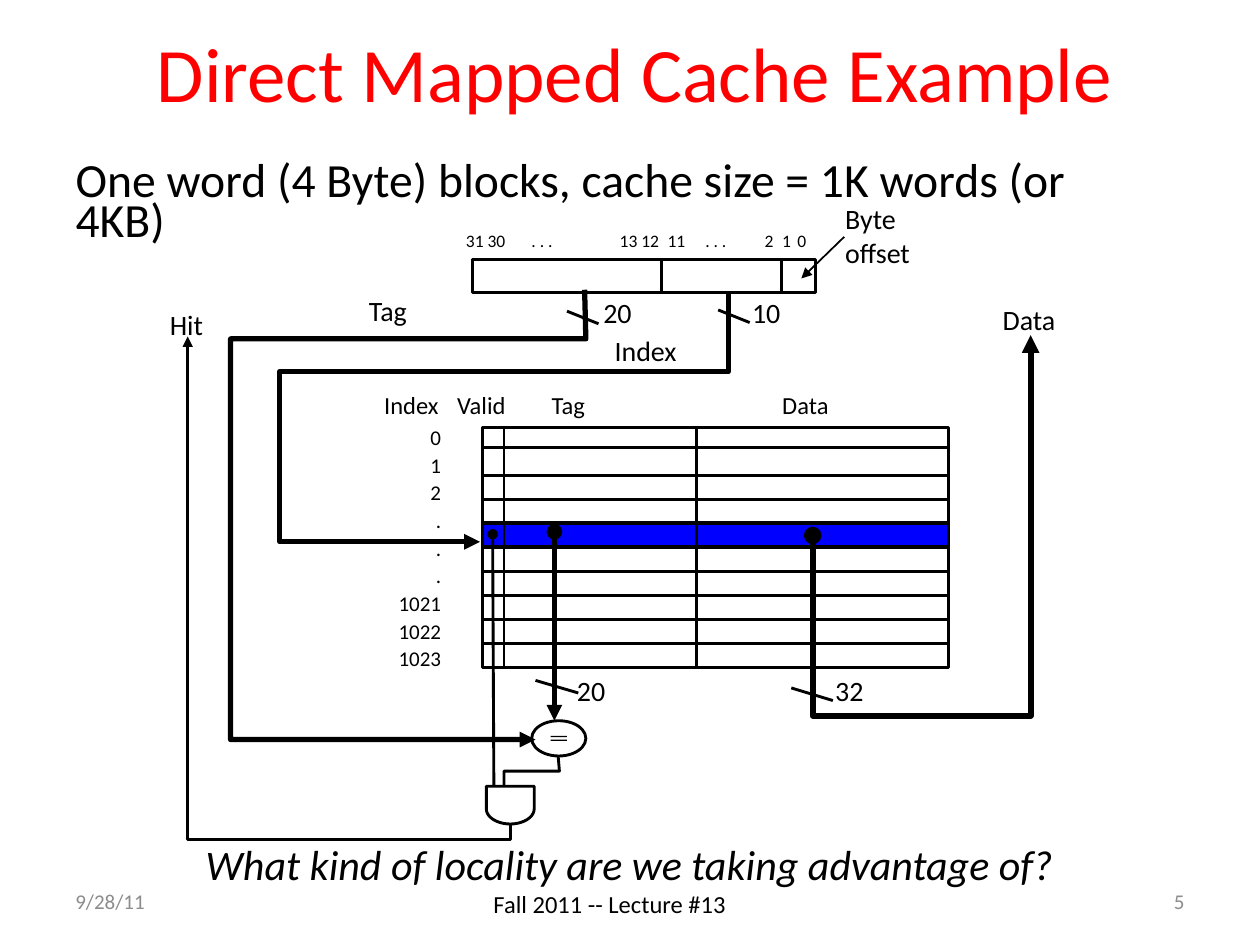
from math import cos, pi, sin

from lxml.etree import SubElement
from pptx import Presentation
from pptx.dml.color import RGBColor
from pptx.enum.shapes import MSO_CONNECTOR, MSO_SHAPE
from pptx.enum.text import MSO_ANCHOR, MSO_AUTO_SIZE, PP_ALIGN
from pptx.oxml.ns import qn
from pptx.util import Inches, Pt

BLACK, RED, BLUE, GREY = "000000", "FF0000", "0000FF", "8C8C8C"
THIN, THICK = 1.63, 3
LEFT, CENTER, RIGHT = PP_ALIGN.LEFT, PP_ALIGN.CENTER, PP_ALIGN.RIGHT

TITLE = "Direct Mapped Cache Example"
BODY = "One word (4 Byte) blocks, cache size = 1K words (or 4KB)"
QUESTION = "What kind of locality are we taking advantage of?"
BIT_NUMBERS = "31 30\t. . .\t13 12\t11\t. . .\t2\t1\t0"
BIT_TABS = [0.52, 1.22, 1.6, 1.9, 2.37, 2.51, 2.63]
INDEX_ROWS = ["0", "1", "2", ".", ".", ".", "1021", "1022", "1023"]

# text, left, top, width, height, size
LABELS = [
    ("Tag", 2.83, 2.28, 0.58, 0.37, 16),
    ("20", 4.69, 2.3, 0.45, 0.37, 16),
    ("10", 5.87, 2.3, 0.45, 0.37, 16),
    ("Index", 4.78, 2.6, 0.74, 0.37, 16),
    ("Hit", 1.25, 2.39, 0.47, 0.37, 16),
    ("Data", 7.86, 2.35, 0.67, 0.37, 16),
    ("20", 4.48, 5.3, 0.45, 0.37, 16),
    ("32", 6.53, 5.3, 0.45, 0.37, 16),
    ("Index", 2.95, 3.05, 0.69, 0.33, 14),
    ("Valid", 3.53, 3.05, 0.63, 0.33, 14),
    ("Tag", 4.28, 3.05, 0.53, 0.33, 14),
    ("Data", 6.11, 3.05, 0.61, 0.33, 14),
]

CACHE_LEFT, CACHE_RIGHT, CACHE_TOP, CACHE_BOTTOM = 3.83, 7.53, 3.39, 5.3
ROW_HEIGHT, FIRST_ROW_BOTTOM, HIT_ROW_TOP = 0.191, 3.55, 4.15
CACHE_COLUMNS = [4, 5.53]
ADDRESS_TOP, ADDRESS_BOTTOM = 2.06, 2.32
ADDRESS_SPLITS = [5.25, 6.2]

# points, weight, start marker, end marker
WIRES = [
    ([(4.64, 2.3), (4.65, 2.69), (1.83, 2.69), (1.83, 5.87), (4.25, 5.87)], THICK, None, "triangle"),
    ([(5.78, 2.32), (5.78, 2.95), (2.22, 2.95), (2.22, 4.3), (3.81, 4.3)], THICK, None, "triangle"),
    ([(4.4, 4.22), (4.4, 5.72)], THICK, "oval", "triangle"),
    ([(6.45, 4.25), (6.45, 5.68), (8.18, 5.68), (8.18, 2.66)], 3.38, "oval", "triangle"),
    ([(3.91, 4.24), (3.92, 6.24)], THIN, "oval", None),
    ([(4.43, 6), (4.44, 6.12), (4, 6.12), (4, 6.24)], THIN, None, None),
    ([(4.05, 6.54), (4.05, 6.66), (1.49, 6.66), (1.49, 2.67)], THIN, None, "triangle"),
    ([(6.7, 1.88), (6.36, 2.21)], 1, None, "triangle"),
]
# bus-width ticks: left, top, width
TICKS = [(4.5, 2.47, 0.25), (5.7, 2.46, 0.25), (4.25, 5.4, 0.34), (6.28, 5.46, 0.33)]

deck = Presentation()
deck.slide_width, deck.slide_height = Inches(10), Inches(7.5)
page = deck.slides.add_slide(deck.slide_layouts[1])


def rgb(code):
    return RGBColor.from_string(code)


def write(box, lines, size, color=BLACK, align=LEFT, anchor=MSO_ANCHOR.TOP,
          spacing=1.0, wrap=True, italic=False):
    frame = box.text_frame
    frame.text = "\n".join(lines)
    frame.auto_size = MSO_AUTO_SIZE.NONE
    frame.word_wrap = wrap
    frame.vertical_anchor = anchor
    for para in frame.paragraphs:
        para.alignment, para.line_spacing = align, spacing
        para.space_before = Pt(0)
        font = para.font
        font.name, font.size, font.italic = "Calibri", Pt(size), italic
        font.color.rgb = rgb(color)
    return box


def place(box, left, top, width, height):
    box.left, box.top, box.width, box.height = map(Inches, (left, top, width, height))
    return box


def add_text(lines, left, top, width, height, size, **style):
    box = page.shapes.add_textbox(*map(Inches, (left, top, width, height)))
    return write(box, lines, size, **style)


def stroke(shape, weight, head=None, tail=None):
    shape.line.color.rgb = rgb(BLACK)
    shape.line.width = Pt(weight)
    line = shape._element.spPr.find(qn("a:ln"))
    for tag, marker in (("a:headEnd", head), ("a:tailEnd", tail)):
        if marker:
            SubElement(line, qn(tag), type=marker)


def add_outline(points, weight, head=None, tail=None, close=False):
    """Draw an unfilled path through points given in inches."""
    # the builder rounds points to whole units, so they are passed as EMU
    start, *rest = [(Inches(x), Inches(y)) for x, y in points]
    builder = page.shapes.build_freeform(*start)
    builder.add_line_segments(rest, close=close)
    shape = builder.convert_to_shape()
    shape.shadow.inherit = False
    shape.fill.background()
    stroke(shape, weight, head, tail)


def add_wire(points, weight=THIN, head=None, tail=None):
    """Draw a straight connector for two points and a bent path for more."""
    if len(points) > 2:
        return add_outline(points, weight, head, tail)
    (x1, y1), (x2, y2) = points
    wire = page.shapes.add_connector(MSO_CONNECTOR.STRAIGHT, *map(Inches, (x1, y1, x2, y2)))
    stroke(wire, weight, head, tail)
    SubElement(wire._element.spPr, qn("a:effectLst"))


def add_box(kind, left, top, right, bottom, fill=None, outlined=True):
    box = page.shapes.add_shape(kind, *map(Inches, (left, top, right - left, bottom - top)))
    box.shadow.inherit = False
    if fill:
        box.fill.solid()
        box.fill.fore_color.rgb = rgb(fill)
    else:
        box.fill.background()
    if outlined:
        stroke(box, THIN)
    else:
        box.line.fill.background()


# Title and body
write(place(page.shapes.title, 0.54, 0.06, 9, 1.02), [TITLE], 44,
      color=RED, align=CENTER, anchor=MSO_ANCHOR.MIDDLE)
body = write(place(page.placeholders[1], 0.5, 1.26, 8.83, 0.74), [BODY], 27.2, spacing=0.7)
body_format = body.text_frame.paragraphs[0]._p.get_or_add_pPr()
body_format.set("marL", "0")
body_format.set("indent", "0")
# the bullet setting goes after the spacing and before the default run format
body_format.insert_element_before(body_format.makeelement(qn("a:buNone")), "a:defRPr")

# Cache
add_box(MSO_SHAPE.RECTANGLE, CACHE_LEFT, CACHE_TOP, CACHE_RIGHT, CACHE_BOTTOM)
add_box(MSO_SHAPE.RECTANGLE, CACHE_LEFT, HIT_ROW_TOP, CACHE_RIGHT, HIT_ROW_TOP + ROW_HEIGHT, BLUE)
for y in [FIRST_ROW_BOTTOM] + [CACHE_BOTTOM - ROW_HEIGHT * row for row in range(1, 9)]:
    add_wire([(CACHE_RIGHT, y), (CACHE_LEFT, y)])
for x in CACHE_COLUMNS:
    add_wire([(x, CACHE_TOP), (x, CACHE_BOTTOM)])
add_text(INDEX_ROWS, 3.03, 3.3, 0.57, 2.09, 12, align=RIGHT, spacing=1.1, wrap=False)

# Address word
add_box(MSO_SHAPE.RECTANGLE, 3.75, ADDRESS_TOP, 6.47, ADDRESS_BOTTOM)
for x in ADDRESS_SPLITS:
    add_wire([(x, ADDRESS_BOTTOM), (x, ADDRESS_TOP)])
bits = add_text([BIT_NUMBERS], 3.6, 1.78, 3.1, 0.27, 10)
bits_format = bits.text_frame.paragraphs[0]._p.get_or_add_pPr()
tab_list = bits_format.makeelement(qn("a:tabLst"))
bits_format.insert_element_before(tab_list, "a:defRPr")
for stop in BIT_TABS:
    SubElement(tab_list, qn("a:tab"), pos=str(Inches(stop)), algn="l")
add_text(["Byte offset"], 6.61, 1.55, 0.92, 0.64, 16)

# Comparator and AND gate
add_box(MSO_SHAPE.OVAL, 4.22, 5.72, 4.65, 6)
for y in (5.84, 5.87):
    add_box(MSO_SHAPE.RECTANGLE, 4.37, y, 4.5, y + 0.01, BLACK, outlined=False)
arc = [(4.05 + 0.19 * cos(pi * step / 20), 6.42 + 0.12 * sin(pi * step / 20)) for step in range(21)]
add_outline([(4.24, 6.24)] + arc + [(3.86, 6.24)], THIN, close=True)

for wire in WIRES:
    add_wire(*wire)
for left, top, width in TICKS:
    add_wire([(left, top), (left + width, top + 0.1)])
for text, *spot in LABELS:
    add_text([text], *spot, wrap=False)

# Question and footer
add_text([QUESTION], 0.58, 6.65, 8.83, 0.5, 24, align=CENTER, spacing=0.9, italic=True)
footer = add_text(["Fall 2011 -- Lecture #13"], 3.58, 6.97, 3.17, 0.4, 14,
                  align=CENTER, anchor=MSO_ANCHOR.MIDDLE)
footer.text_frame.margin_right = Inches(0.75)
for text, left, align in (("9/28/11", 0.5, LEFT), ("5", 7.17, RIGHT)):
    add_text([text], left, 6.95, 2.33, 0.4, 12, color=GREY, align=align, anchor=MSO_ANCHOR.MIDDLE)

deck.save("out.pptx")
